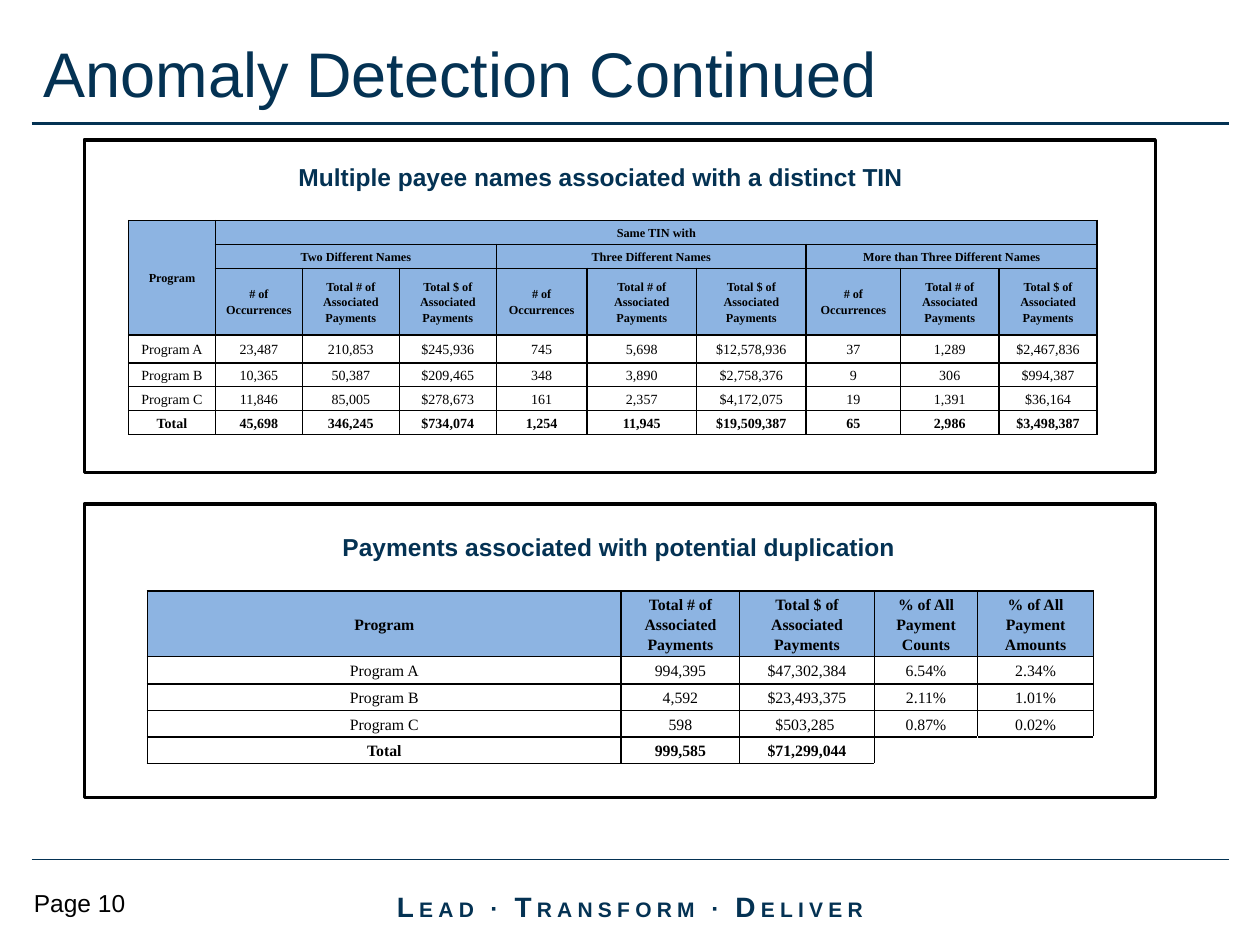
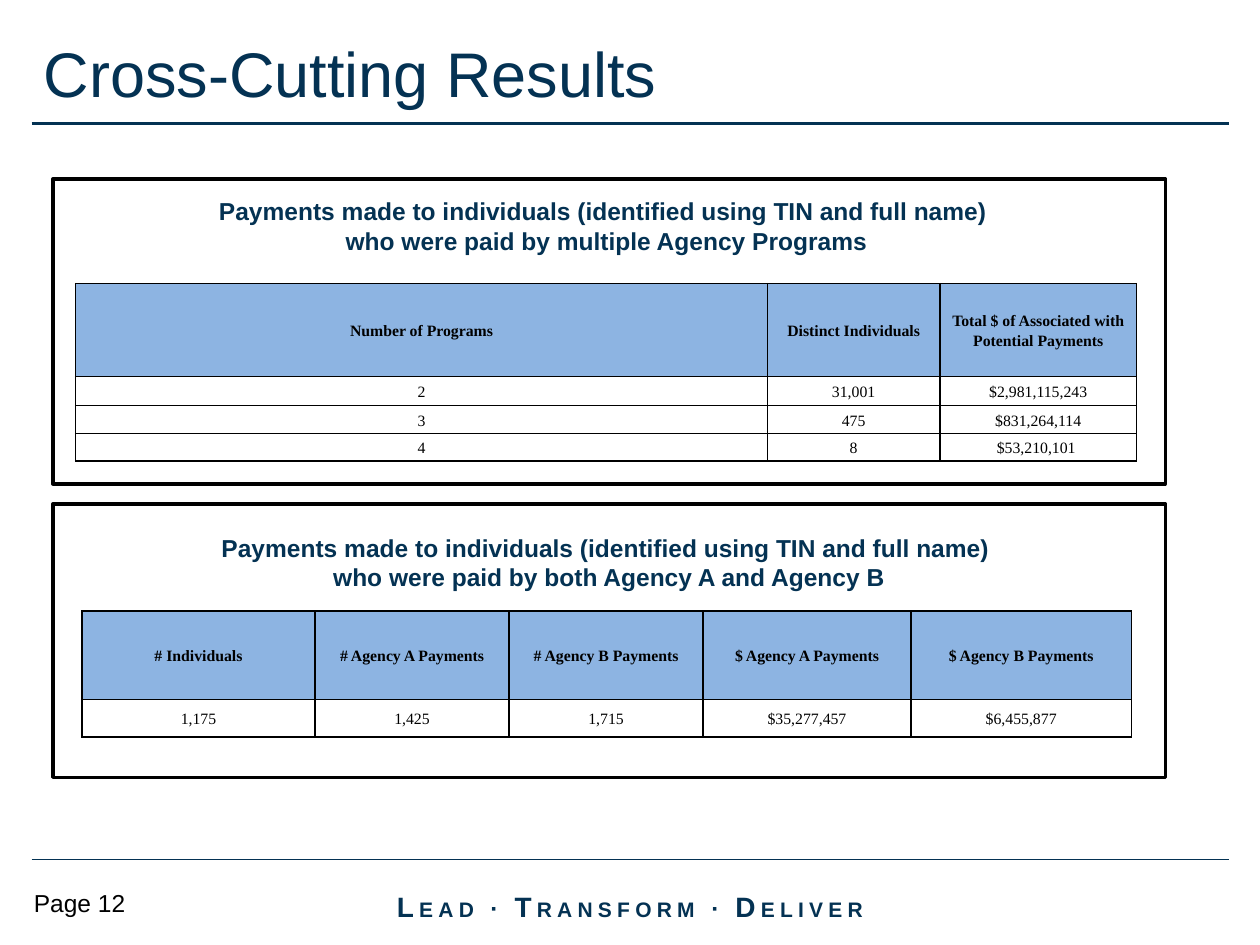
"""Build two slides of payment anomaly tables in a shared frame."""
import dataclasses

import lxml.etree
import pptx
import pptx.dml.color
import pptx.enum.shapes
import pptx.enum.text
import pptx.oxml.ns
import pptx.util

Inches = pptx.util.Inches
Pt = pptx.util.Pt
RGB = pptx.dml.color.RGBColor.from_string
qn = pptx.oxml.ns.qn
Align = pptx.enum.text.PP_ALIGN
Anchor = pptx.enum.text.MSO_ANCHOR


@dataclasses.dataclass(frozen=True)
class Theme:
    navy: str = "043253"
    black: str = "000000"
    white: str = "FFFFFF"
    header: str = "8DB4E2"
    sans: str = "Arial"
    serif: str = "Times New Roman"
    title: int = 36
    heading: int = 14
    page: int = 14
    motto_cap: int = 16
    motto_small: int = 12
    motto_dot: int = 14


theme = Theme()


def add_run(p, text, size, color, font=theme.sans, bold=False):
    r = p.add_run()
    r.text = text
    r.font.size = Pt(size)
    r.font.name = font
    r.font.bold = bold
    r.font.color.rgb = RGB(color)
    return r


def add_box(s, box, anchor=Anchor.TOP):
    tf = s.shapes.add_textbox(*map(Inches, box)).text_frame
    tf.word_wrap = True
    tf.vertical_anchor = anchor
    return tf


occurrence_heads = ["# of Occurrences", "Total # of Associated Payments",
                    "Total $ of Associated Payments"]
individuals = "Payments made to individuals (identified using TIN and full name) "

slides = [
    {
        "title": "Anomaly Detection Continued",
        "page": "Page 10",
        "panels": [
            {
                "frame": (0.67, 1.11, 8.5, 2.64),
                "heading": ["Multiple payee names associated with a distinct TIN"],
                "heading_box": (2.27, 1.24, 5.55, 0.34),
                "align": Align.LEFT,
                "origin": (1.02, 1.75),
                "cols": [0.69, 0.69, 0.77, 0.77, 0.72, 0.87, 0.87, 0.75, 0.78, 0.78],
                "heights": [0.19, 0.19, 0.53, 0.22, 0.19, 0.19, 0.19],
                "head_rows": 3,
                "sizes": (7, 8),
                "merges": [(0, 0, 2, 0), (0, 1, 0, 9), (1, 1, 1, 3),
                           (1, 4, 1, 6), (1, 7, 1, 9)],
                "rows": [
                    ["Program", "Same TIN with"] + [""] * 8,
                    ["", "Two Different Names", "", "", "Three Different Names", "", "",
                     "More than Three Different Names", "", ""],
                    [""] + occurrence_heads * 3,
                    ["Program A", "23,487", "210,853", "$245,936", "745", "5,698",
                     "$12,578,936", "37", "1,289", "$2,467,836"],
                    ["Program B", "10,365", "50,387", "$209,465", "348", "3,890",
                     "$2,758,376", "9", "306", "$994,387"],
                    ["Program C", "11,846", "85,005", "$278,673", "161", "2,357",
                     "$4,172,075", "19", "1,391", "$36,164"],
                    ["Total", "45,698", "346,245", "$734,074", "1,254", "11,945",
                     "$19,509,387", "65", "2,986", "$3,498,387"],
                ],
            },
            {
                "frame": (0.67, 4, 8.5, 2.33),
                "heading": ["Payments associated with potential duplication"],
                "heading_box": (2.62, 4.17, 4.8, 0.34),
                "align": Align.LEFT,
                "origin": (1.17, 4.69),
                "cols": [3.76, 0.94, 1.07, 0.82, 0.92],
                "heights": [0.51, 0.22, 0.21, 0.21, 0.21],
                "head_rows": 1,
                "sizes": (9, 9),
                "merges": [],
                "borders": {(4, 3): ["lnL", "lnT"], (4, 4): ["lnT"]},
                "rows": [
                    ["Program", *occurrence_heads[1:], "% of All Payment Counts",
                     "% of All Payment Amounts"],
                    ["Program A", "994,395", "$47,302,384", "6.54%", "2.34%"],
                    ["Program B", "4,592", "$23,493,375", "2.11%", "1.01%"],
                    ["Program C", "598", "$503,285 ", "0.87%", "0.02%"],
                    ["Total", "999,585", "$71,299,044", "", ""],
                ],
            },
        ],
    },
    {
        "title": "Cross-Cutting Results",
        "page": "Page 12",
        "panels": [
            {
                "frame": (0.42, 1.42, 8.83, 2.42),
                "heading": [individuals, "who were paid by multiple Agency Programs"],
                "heading_box": (1.63, 1.51, 6.37, 0.57),
                "align": Align.CENTER,
                "origin": (0.6, 2.25),
                "cols": [5.49, 1.37, 1.56],
                "heights": [0.74, 0.23, 0.22, 0.22],
                "head_rows": 1,
                "sizes": (9, 9),
                "merges": [],
                "rows": [
                    ["Number of Programs", "Distinct Individuals",
                     "Total $ of Associated with Potential Payments"],
                    ["2", "31,001", "$2,981,115,243"],
                    ["3", "475", "$831,264,114"],
                    ["4", "8", "$53,210,101 "],
                ],
            },
            {
                "frame": (0.42, 4, 8.83, 2.17),
                "heading": [individuals, "who were paid by both Agency A and Agency B"],
                "heading_box": (1.65, 4.18, 6.37, 0.57),
                "align": Align.CENTER,
                "origin": (0.65, 4.85),
                "cols": [1.85, 1.54, 1.54, 1.65, 1.75],
                "heights": [0.7, 0.3],
                "head_rows": 1,
                "sizes": (9, 9),
                "merges": [],
                "rows": [
                    ["# Individuals", "# Agency A Payments", "# Agency B Payments",
                     "$ Agency A Payments", "$ Agency B Payments"],
                    ["1,175", "1,425", "1,715", "$35,277,457", "$6,455,877"],
                ],
            },
        ],
    },
]

motto = [("L", theme.motto_cap), ("EAD ", theme.motto_small), ("∙ ", theme.motto_dot),
         ("T", theme.motto_cap), ("RANSFORM ", theme.motto_small), ("∙ ", theme.motto_dot),
         ("D", theme.motto_cap), ("ELIVER", theme.motto_small)]

prs = pptx.Presentation()
prs.slide_width = Inches(10)
prs.slide_height = Inches(7.5)

for content in slides:
    s = prs.slides.add_slide(prs.slide_layouts[6])

    for y, weight in [(6.82, 0.75), (0.98, 2.25)]:
        rule = s.shapes.add_connector(pptx.enum.shapes.MSO_CONNECTOR.STRAIGHT,
                                      Inches(0.25), Inches(y), Inches(9.75), Inches(y))
        rule.line.color.rgb = RGB(theme.navy)
        rule.line.width = Pt(weight)
        lxml.etree.SubElement(rule._element.spPr, qn("a:effectLst"))

    p = add_box(s, (2.83, 6.99, 4.34, 0.4), Anchor.MIDDLE).paragraphs[0]
    p.alignment = Align.CENTER
    for text, size in motto:
        r = add_run(p, text, size, theme.navy, bold=True)
        r.font._element.set("spc", "300")

    p = add_box(s, (0.17, 7, 1.25, 0.33)).paragraphs[0]
    add_run(p, content["page"], theme.page, theme.black)
    p = add_box(s, (0.25, 0.17, 9.5, 0.75), Anchor.BOTTOM).paragraphs[0]
    add_run(p, content["title"], theme.title, theme.navy)

    for panel in content["panels"]:
        frame = s.shapes.add_shape(pptx.enum.shapes.MSO_SHAPE.RECTANGLE,
                                   *map(Inches, panel["frame"]))
        frame.shadow.inherit = False
        frame.fill.solid()
        frame.fill.fore_color.rgb = RGB(theme.white)
        frame.line.color.rgb = RGB(theme.black)
        frame.line.width = Pt(2)

        tf = add_box(s, panel["heading_box"])
        for i, text in enumerate(panel["heading"]):
            p = tf.paragraphs[0] if i == 0 else tf.add_paragraph()
            p.alignment = panel["align"]
            add_run(p, text, theme.heading, theme.navy, bold=True)

        rows, cols, heights = panel["rows"], panel["cols"], panel["heights"]
        size = (sum(cols), sum(heights))
        table = s.shapes.add_table(len(rows), len(cols),
                                   *map(Inches, panel["origin"] + size)).table
        table.first_row = False
        table.horz_banding = False
        for column, width in zip(table.columns, cols):
            column.width = Inches(width)
        for row, height in zip(table.rows, heights):
            row.height = Inches(height)
        for top, left, bottom, right in panel["merges"]:
            table.cell(top, left).merge(table.cell(bottom, right))

        for i, row in enumerate(rows):
            is_head = i < panel["head_rows"]
            font_size = panel["sizes"][0 if is_head else 1]
            for j, text in enumerate(row):
                cell = table.cell(i, j)
                cell.margin_left = cell.margin_right = Inches(0.07)
                cell.margin_top = cell.margin_bottom = 0
                cell.vertical_anchor = Anchor.MIDDLE
                tcPr = cell._tc.get_or_add_tcPr()
                sides = panel.get("borders", {}).get((i, j), ["lnL", "lnR", "lnT", "lnB"])
                for side in sides:
                    ln = lxml.etree.SubElement(tcPr, qn(f"a:{side}"), w=str(Pt(1)))
                    solid = lxml.etree.SubElement(ln, qn("a:solidFill"))
                    lxml.etree.SubElement(solid, qn("a:srgbClr"), val=theme.black)
                if is_head:
                    cell.fill.solid()
                    cell.fill.fore_color.rgb = RGB(theme.header)
                else:
                    cell.fill.background()
                p = cell.text_frame.paragraphs[0]
                p.alignment = Align.CENTER
                p.line_spacing = 1.15
                if text:
                    add_run(p, text, font_size, theme.black, theme.serif,
                            is_head or row[0] == "Total")
                else:
                    lxml.etree.SubElement(p._p, qn("a:endParaRPr"), sz=str(font_size * 100))

prs.save("out.pptx")
